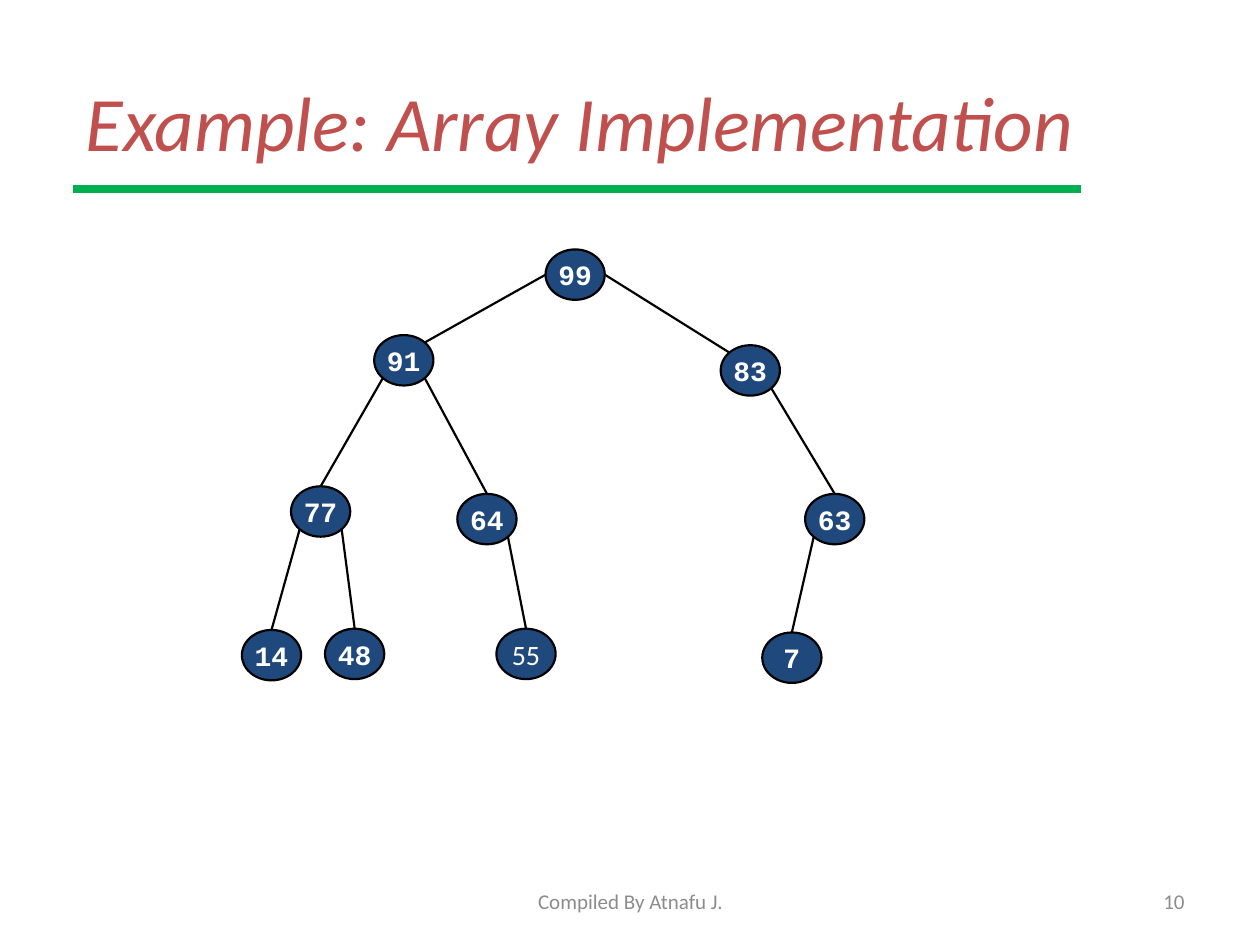
from pptx import Presentation
from pptx.dml.color import RGBColor
from pptx.enum.shapes import MSO_CONNECTOR, MSO_SHAPE
from pptx.enum.text import MSO_ANCHOR, PP_ALIGN
from pptx.util import Inches, Pt
from lxml import etree

STRAIGHT = MSO_CONNECTOR.STRAIGHT
OVAL = MSO_SHAPE.OVAL
MIDDLE = MSO_ANCHOR.MIDDLE
LEFT, CENTER, RIGHT = PP_ALIGN.LEFT, PP_ALIGN.CENTER, PP_ALIGN.RIGHT
NS = "http://schemas.openxmlformats.org/drawingml/2006/main"


def put(shape, text, color, align, wrap=True, **form):
    """Write one formatted paragraph, centred vertically, into a shape."""
    frame = shape.text_frame
    frame.word_wrap = wrap
    frame.vertical_anchor = MIDDLE
    para = frame.paragraphs[0]
    para.alignment = align
    run = para.add_run()
    run.text = text
    run.font.color.rgb = RGBColor.from_string(color)
    for key, value in form.items():
        setattr(run.font, key, value)


def rule(start, end, color, width):
    """Draw a straight line without a shadow."""
    line = slide.shapes.add_connector(
        STRAIGHT, *(Inches(v) for v in (*start, *end)))
    line.line.color.rgb = RGBColor.from_string(color)
    line.line.width = Pt(width)
    etree.SubElement(line._element.spPr, f"{{{NS}}}effectLst")


prs = Presentation()
prs.slide_width, prs.slide_height = Inches(10), Inches(7.5)
slide = prs.slides.add_slide(prs.slide_layouts[5])

# Title and its underline
title = slide.shapes.title
title.left, title.top = Inches(0.58), Inches(0.33)
title.width, title.height = Inches(9), Inches(1.25)
put(title, "Example: Array Implementation", "C0504D", LEFT,
    name="Calibri", size=Pt(44), italic=True)
rule((0.58, 1.5), (8.58, 1.5), "00B050", 4.25)

# Tree nodes: left and top of each oval
WIDE, HIGH = 0.47, 0.4
nodes = {
    "99": (4.33, 1.98),
    "91": (2.97, 2.66), "83": (5.72, 2.74),
    "77": (2.31, 3.86), "64": (3.63, 3.92), "63": (6.39, 3.92),
    "14": (1.92, 5), "48": (2.58, 4.99), "55": (3.94, 4.99), "7": (6.05, 5.02),
}

# Points on an oval, as shares of its half width and half height
DIAG = 0.71
sites = {
    "top": (0, -1), "left": (-1, 0), "right": (1, 0),
    "top left": (-DIAG, -DIAG), "top right": (DIAG, -DIAG),
    "low left": (-DIAG, DIAG), "low right": (DIAG, DIAG),
}
edges = [
    ("99", "left", "91", "top right"), ("99", "right", "83", "top left"),
    ("91", "low left", "77", "top"), ("91", "low right", "64", "top"),
    ("77", "low left", "14", "top"), ("77", "low right", "48", "top"),
    ("64", "low right", "55", "top"),
    ("83", "low right", "63", "top"), ("63", "low left", "7", "top"),
]
for parent, out, child, into in edges:
    ends = []
    for node, site in ((parent, out), (child, into)):
        (x, y), (dx, dy) = nodes[node], sites[site]
        ends.append((x + WIDE / 2 * (1 + dx), y + HIGH / 2 * (1 + dy)))
    rule(*ends, "000000", 1.25)

bold = {"name": "Courier New", "size": Pt(16), "bold": True}
plain = {"name": "Calibri", "size": Pt(16), "bold": False}
for key, (x, y) in nodes.items():
    oval = slide.shapes.add_shape(
        OVAL, Inches(x), Inches(y), Inches(WIDE), Inches(HIGH))
    oval.shadow.inherit = False
    oval.fill.solid()
    oval.fill.fore_color.rgb = RGBColor.from_string("1F497D")
    oval.line.color.rgb = RGBColor.from_string("000000")
    oval.line.width = Pt(1.25)
    put(oval, key, "FFFFFF", CENTER, wrap=False,
        **(plain if key == "55" else bold))

# Footer and slide number
for text, left, width, align in (
        ("Compiled By Atnafu J.", 3.42, 3.17, CENTER),
        ("10", 7.17, 2.33, RIGHT)):
    box = slide.shapes.add_textbox(
        Inches(left), Inches(6.95), Inches(width), Inches(0.4))
    put(box, text, "8C8C8C", align, name="Calibri", size=Pt(12))

prs.save("out.pptx")
